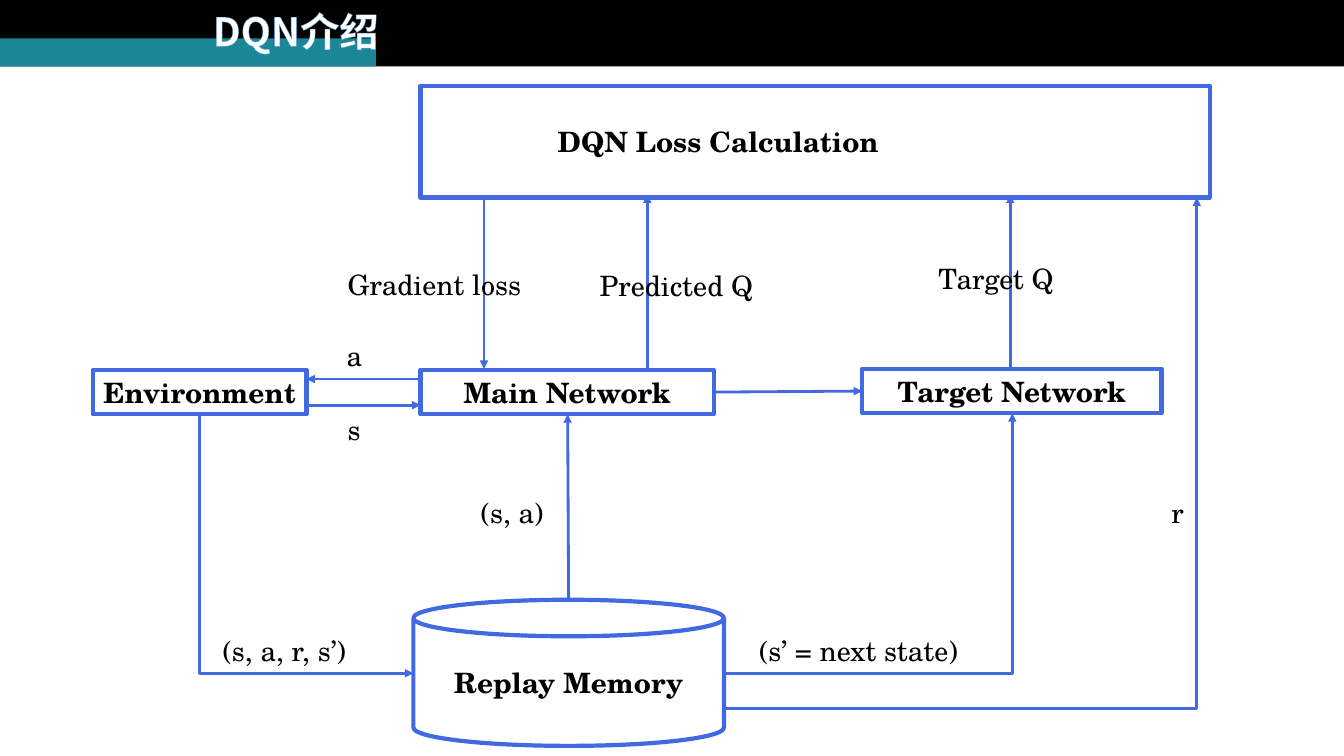
from pptx import Presentation
from pptx.dml.color import RGBColor
from pptx.enum.shapes import MSO_CONNECTOR, MSO_SHAPE
from pptx.enum.text import MSO_ANCHOR, PP_ALIGN
from pptx.oxml.ns import qn
from pptx.util import Inches, Pt
from lxml import etree

RECT, CAN = MSO_SHAPE.RECTANGLE, MSO_SHAPE.CAN
STRAIGHT, ELBOW = MSO_CONNECTOR.STRAIGHT, MSO_CONNECTOR.ELBOW
MIDDLE, TOP = MSO_ANCHOR.MIDDLE, MSO_ANCHOR.TOP
CENTER, LEFT = PP_ALIGN.CENTER, PP_ALIGN.LEFT

BLUE = RGBColor(0x41, 0x69, 0xE1)
TEAL = RGBColor(0x1B, 0x86, 0x96)
OUTLINE = RGBColor(0x48, 0x93, 0xCF)
BLACK = RGBColor(0, 0, 0)
WHITE = RGBColor(255, 255, 255)
DIAGRAM_FONT = "TeX Gyre Schola"
TITLE_FONT = "Noto Sans CJK SC"

NODES = [
    ("DQN Loss Calculation", RECT, 4.17, 0.85, 7.83, 1.11, 2.02),
    ("Target Network", RECT, 8.55, 3.66, 2.97, 0.44, 0.1),
    ("Main Network", RECT, 4.17, 3.67, 2.91, 0.44, 0.1),
    ("Environment", RECT, 0.92, 3.67, 2.12, 0.44, 0.1),
    ("Replay Memory", CAN, 4.1, 5.95, 3.08, 1.45, 0.1),
]
LOSS_ARROWS = [
    (10.02, 3.67, 10.02, 1.93),
    (6.42, 3.67, 6.42, 1.93),
    (4.8, 1.93, 4.8, 3.66),
]
NETWORK_ARROWS = [
    (5.64, 5.95, 5.63, 4.11),
    (4.15, 3.76, 3.04, 3.76),
    (3.04, 4.02, 4.17, 4.02),
    (7.08, 3.89, 8.55, 3.88),
]
BENT_ARROWS = [
    (7.17, 6.68, 10.04, 4.1, "tailEnd"),
    (4.1, 6.68, 1.98, 4.11, "headEnd"),
    (7.18, 7.03, 11.87, 1.96, "tailEnd"),
]
LABELS = [
    ("s", 3.35, 4.04, 0.31),
    ("a", 3.34, 3.31, 0.34),
    ("Gradient loss", 3.35, 2.6, 2.29),
    ("Predicted Q", 5.85, 2.61, 2.04),
    ("Target Q", 9.21, 2.55, 1.56),
    ("(s, a)", 4.67, 4.87, 1.03),
    ("(s, a, r, s’)", 2.11, 6.24, 2.06),
    ("r", 11.52, 4.87, 0.42),
    ("(s’ = next state)", 7.43, 6.24, 2.53),
]


def apply(target, values):
    for name, value in values.items():
        setattr(target, name, value)


def write(shape, text, align, anchor, font_name, size, color, bold, **frame_values):
    frame = shape.text_frame
    apply(frame, {"vertical_anchor": anchor, **frame_values})
    paragraph = frame.paragraphs[0]
    paragraph.alignment = align
    run = paragraph.add_run()
    run.text = text
    apply(run.font, {"name": font_name, "size": Pt(size), "bold": bold})
    run.font.color.rgb = color
    return run


def add_block(slide, kind, box, fill, line=None):
    block = slide.shapes.add_shape(kind, *map(Inches, box))
    block.shadow.inherit = False
    block.fill.solid()
    block.fill.fore_color.rgb = fill
    if line is None:
        block.line.fill.background()
    else:
        apply(block.line, {"width": Pt(3)})
        block.line.color.rgb = line
    return block


def add_node(slide, text, kind, left, top, width, height, right_inset):
    node = add_block(slide, kind, (left, top, width, height), WHITE, BLUE)
    write(node, text, CENTER, MIDDLE, DIAGRAM_FONT, 20, BLACK, True,
          word_wrap=text != "Environment", margin_right=Inches(right_inset))


def add_label(slide, text, left, top, width):
    label = slide.shapes.add_textbox(*map(Inches, (left, top, width, 0.44)))
    write(label, text, LEFT, TOP, DIAGRAM_FONT, 20, BLACK, False, word_wrap=True)


def add_arrow(slide, kind, ends, arrowhead="tailEnd"):
    arrow = slide.shapes.add_connector(kind, *map(Inches, ends))
    arrow.line.width = Pt(2)
    arrow.line.color.rgb = BLUE
    line = arrow.line._get_or_add_ln()
    etree.SubElement(line, qn("a:" + arrowhead), type="triangle")
    properties = arrow._element.spPr
    etree.SubElement(properties, qn("a:effectLst"))
    if kind == ELBOW:
        properties.find(qn("a:prstGeom")).set("prst", "bentConnector2")


def add_header(slide):
    add_block(slide, RECT, (0, 0, 13.33, 0.66), BLACK)
    add_block(slide, RECT, (0, 0.38, 3.73, 0.28), TEAL)
    title = slide.shapes.title
    apply(title, {"left": Inches(2.01), "top": Inches(0.02),
                  "width": Inches(1.95), "height": Inches(0.57)})
    run = write(title, "DQN介绍", LEFT, TOP, TITLE_FONT, 28, WHITE, True, word_wrap=False)
    run_properties = run.font._element
    latin = run_properties.find(qn("a:latin"))
    east_asian = etree.Element(qn("a:ea"), typeface=TITLE_FONT)
    latin.addnext(east_asian)
    outline = etree.Element(qn("a:ln"), w=str(Pt(0.52)))
    fill = etree.SubElement(outline, qn("a:solidFill"))
    etree.SubElement(fill, qn("a:srgbClr"), val=str(OUTLINE))
    run_properties.insert(0, outline)
    slide.shapes._spTree.append(title._element)


def main():
    deck = Presentation()
    apply(deck, {"slide_width": Inches(13.33), "slide_height": Inches(7.5)})
    slide = deck.slides.add_slide(deck.slide_layouts[5])
    for ends in LOSS_ARROWS:
        add_arrow(slide, STRAIGHT, ends)
    for node in NODES:
        add_node(slide, *node)
    for ends in NETWORK_ARROWS:
        add_arrow(slide, STRAIGHT, ends)
    for label in LABELS:
        add_label(slide, *label)
    for *ends, arrowhead in BENT_ARROWS:
        add_arrow(slide, ELBOW, ends, arrowhead)
    add_header(slide)
    deck.save("out.pptx")


if __name__ == "__main__":
    main()
